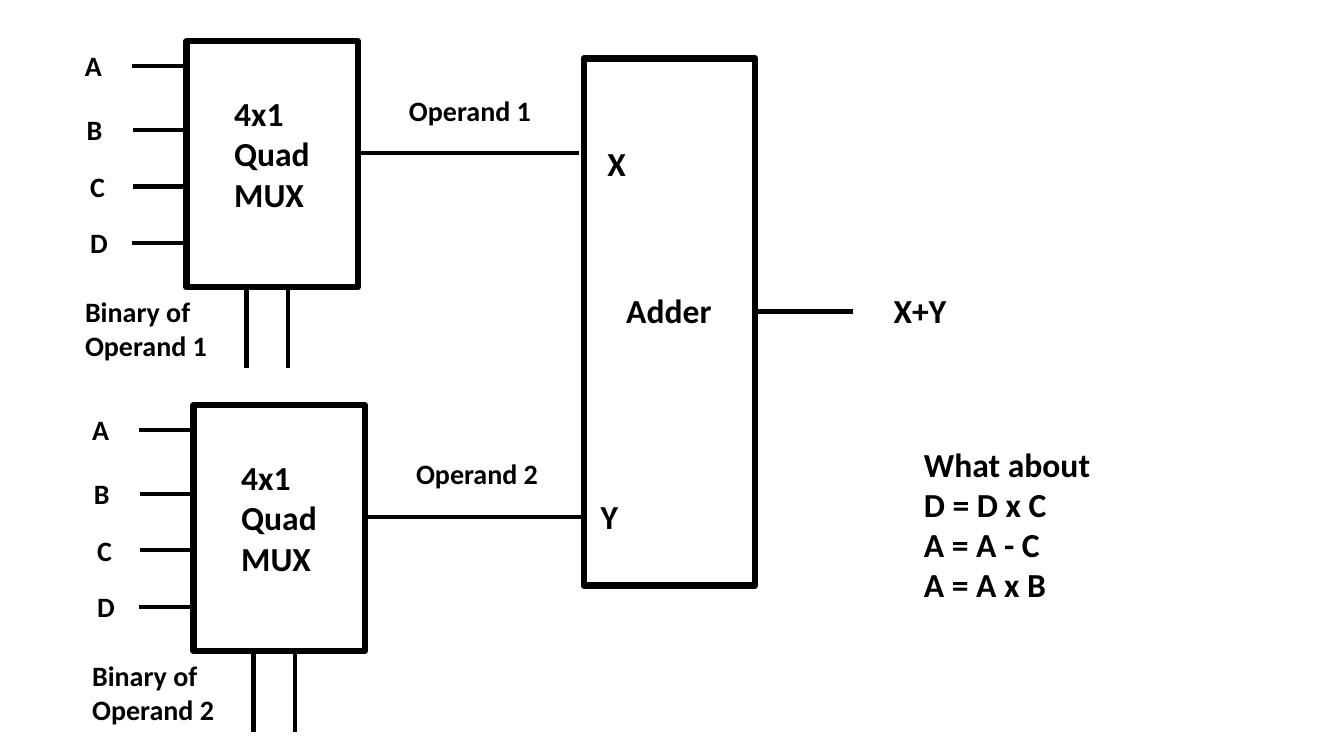
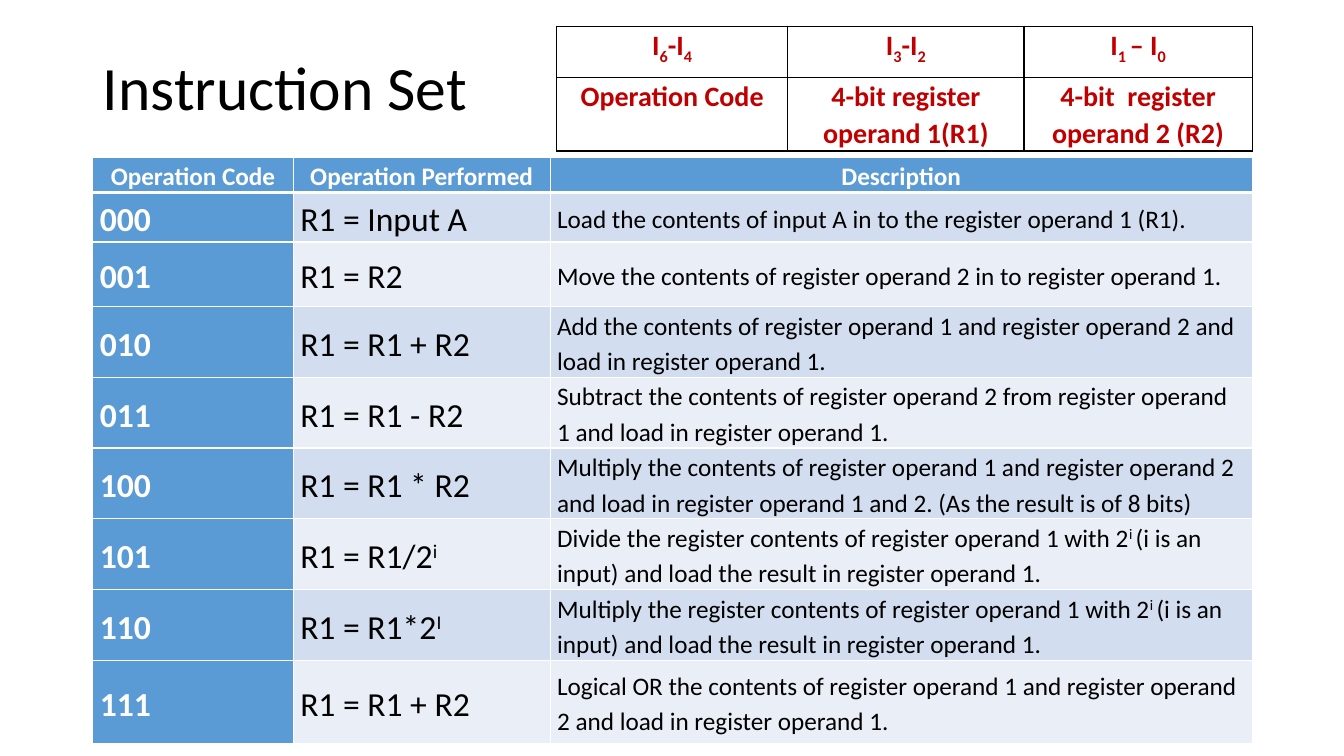
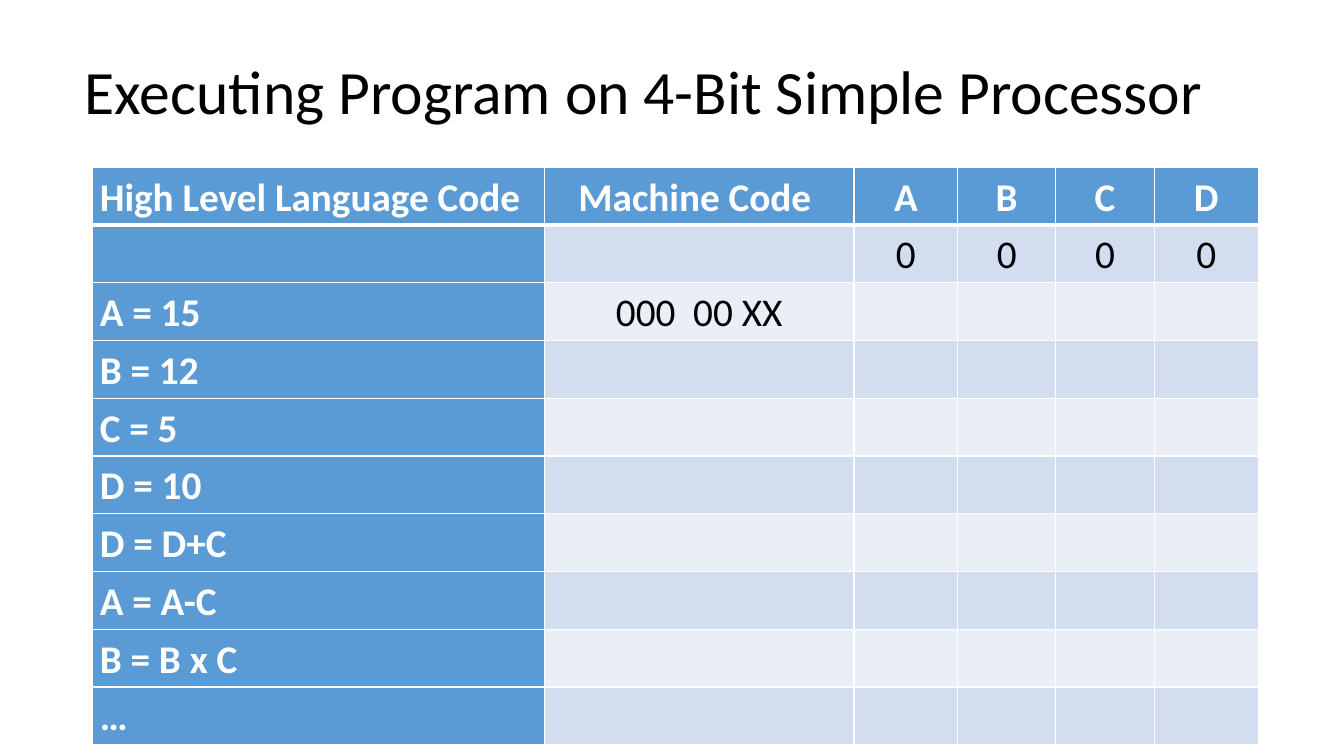
from dataclasses import dataclass

from lxml import etree
from pptx import Presentation
from pptx import util as u
from pptx.dml.color import RGBColor
from pptx.enum import shapes, text
from pptx.oxml.ns import qn


@dataclass(frozen=True)
class Theme:
    font: str = "Calibri"
    ink: str = "000000"
    paper: str = "FFFFFF"
    accent: str = "5B9BD5"
    bands: tuple = ("D2DEEF", "EAEFF7")
    highlight: str = "C00000"
    title: int = 44
    large: int = 28
    body: int = 24
    label: int = 20
    small: int = 18
    outline: float = 4.5
    wire: float = 3
    hairline: float = 1
    header_rule: float = 3


THEME = Theme()


@dataclass(frozen=True)
class Box:
    left: float
    top: float
    width: float
    height: float

    def point(self, across, down):
        """Turn shares of the box into a slide position in inches."""
        return self.left + across * self.width, self.top + down * self.height

    def emu(self):
        return [u.Inches(v) for v in (self.left, self.top, self.width, self.height)]


@dataclass(frozen=True)
class CellStyle:
    size: int
    color: str
    bold: bool = False
    centered: bool = False
    fill: str = ""


SLIDE = Box(0, 0, 13.33, 7.5)


def format_run(run, size, color, bold=False):
    run.font.name = THEME.font
    run.font.size = u.Pt(size)
    run.font.bold = bold
    run.font.color.rgb = RGBColor.from_string(color)


# Circuit diagram

def add_label(slide, position, width, words, size, wrap=False):
    height = (words.count("\n") + 1) * size * 1.2 / 72 + 0.1
    label = slide.shapes.add_textbox(*Box(*position, width, height).emu())
    label.text_frame.word_wrap = wrap
    label.text_frame.text = words
    for paragraph in label.text_frame.paragraphs:
        for run in paragraph.runs:
            format_run(run, size, THEME.ink, bold=True)


def add_wire(slide, start, end):
    ends = [u.Inches(v) for v in (*start, *end)]
    wire = slide.shapes.add_connector(shapes.MSO_CONNECTOR.STRAIGHT, *ends)
    wire.line.color.rgb = RGBColor.from_string(THEME.ink)
    wire.line.width = u.Pt(THEME.wire)
    etree.SubElement(wire._element.spPr, qn("a:effectLst"))


def add_block(slide, box):
    block = slide.shapes.add_shape(shapes.MSO_SHAPE.RECTANGLE, *box.emu())
    block.shadow.inherit = False
    block.fill.background()
    block.line.color.rgb = RGBColor.from_string(THEME.ink)
    block.line.width = u.Pt(THEME.outline)


# Letter, share of the block's height, left of the label, start of the wire
MUX_INPUTS = [
    ("A", 0.10, -0.65, -0.32),
    ("B", 0.36, -0.64, -0.31),
    ("C", 0.59, -0.62, -0.31),
    ("D", 0.82, -0.62, -0.32),
]


def add_multiplexer(slide, box, operand):
    add_block(slide, box)
    for letter, down, label_left, wire_left in MUX_INPUTS:
        add_wire(slide, box.point(wire_left, down), box.point(0, down))
        add_label(slide, box.point(label_left, down - 0.09), 0.37, letter, THEME.label)
    add_wire(slide, box.point(1, 0.455), box.point(2.29, 0.455))
    add_label(slide, box.point(1.24, 0.19), 1.42, operand, THEME.label)
    add_label(slide, box.point(0.22, 0.19), 0.96, "4x1\nQuad\nMUX", THEME.body)
    for across in (0.35, 0.59):
        add_wire(slide, box.point(across, 1.33), box.point(across, 1))
    add_label(slide, box.point(-0.65, 1.01), 1.42, f"Binary of\n{operand}", THEME.label)


def add_adder(slide, box):
    add_block(slide, box)
    add_wire(slide, box.point(1, 0.48), box.point(1.57, 0.48))
    for words, across, down, width in [
        ("Adder", 0.19, 0.43, 1.06),
        ("X", 0.08, 0.15, 0.39),
        ("Y", 0.04, 0.82, 0.38),
        ("X+Y", 1.75, 0.43, 0.73),
    ]:
        add_label(slide, box.point(across, down), width, words, THEME.body)


def build_circuit(presentation):
    slide = presentation.slides.add_slide(presentation.slide_layouts[6])
    add_multiplexer(slide, Box(1.85, 0.41, 1.7, 2.44), "Operand 1")
    add_multiplexer(slide, Box(1.92, 4.02, 1.7, 2.44), "Operand 2")
    add_adder(slide, Box(5.79, 0.58, 1.7, 5.23))
    add_label(slide, SLIDE.point(0.68, 0.58), 3.87,
              "What about\nD = D x C\nA = A - C\nA = A x B", THEME.body, wrap=True)


# Titles and tables

def add_titled_slide(presentation, words, box):
    slide = presentation.slides.add_slide(presentation.slide_layouts[5])
    title = slide.shapes.title
    title.left, title.top, title.width, title.height = box.emu()
    frame = title.text_frame
    frame.text = words
    frame.word_wrap = True
    frame.auto_size = text.MSO_AUTO_SIZE.NONE
    frame.vertical_anchor = text.MSO_ANCHOR.MIDDLE
    paragraph = frame.paragraphs[0]
    paragraph.alignment = text.PP_ALIGN.LEFT
    paragraph.line_spacing = 0.9
    format_run(paragraph.runs[0], THEME.title, THEME.ink)
    return slide


def set_borders(cell, color, top, bottom):
    properties = cell._tc.get_or_add_tcPr()
    widths = {"lnL": THEME.hairline, "lnR": THEME.hairline, "lnT": top, "lnB": bottom}
    for side, width in widths.items():
        line = etree.SubElement(properties, qn(f"a:{side}"), w=str(u.Pt(width)))
        solid = etree.SubElement(line, qn("a:solidFill"))
        etree.SubElement(solid, qn("a:srgbClr"), val=color)


def fill_cell(cell, words, style, line_spacing, baseline):
    """Write a cell; every second part between bars is raised or lowered."""
    cell.margin_left = cell.margin_right = u.Inches(0.07)
    cell.margin_top = cell.margin_bottom = 0
    if style.fill:
        cell.fill.solid()
        cell.fill.fore_color.rgb = RGBColor.from_string(style.fill)
    else:
        cell.fill.background()
    paragraph = cell.text_frame.paragraphs[0]
    paragraph.line_spacing = line_spacing
    paragraph.alignment = text.PP_ALIGN.CENTER if style.centered else text.PP_ALIGN.LEFT
    for index, part in enumerate(words.split("|") if words else []):
        run = paragraph.add_run()
        run.text = part
        format_run(run, style.size, style.color, style.bold)
        if index % 2:
            run.font._element.set("baseline", str(baseline * 1000))


def add_grid(slide, box, columns, rows, content, style_of, line_spacing,
             baseline=30, border=THEME.paper, header_rule=THEME.header_rule,
             anchor=text.MSO_ANCHOR.MIDDLE):
    """Add a table whose columns and rows share the box by weight."""
    table = slide.shapes.add_table(len(rows), len(columns), *box.emu()).table
    table.first_row = table.horz_banding = False
    for column, weight in zip(table.columns, columns):
        column.width = u.Inches(box.width * weight / sum(columns))
    for row, weight in zip(table.rows, rows):
        row.height = u.Inches(box.height * weight / sum(rows))
    for r, words_in_row in enumerate(content):
        for c, words in enumerate(words_in_row):
            cell = table.cell(r, c)
            cell.vertical_anchor = anchor
            set_borders(cell, border,
                        top=header_rule if r == 1 else THEME.hairline,
                        bottom=header_rule if r == 0 else THEME.hairline)
            fill_cell(cell, words, style_of(r, c), line_spacing, baseline)


def banded_style(row, column, size, centered):
    if row == 0 or column == 0:
        return CellStyle(size, THEME.paper, True, centered, THEME.accent)
    return CellStyle(size, THEME.ink, False, centered, THEME.bands[(row - 1) % 2])


INSTRUCTION_FORMAT = [
    ("I|6|-I|4", "I|3|-I|2", "I|1 |– I|0"),
    ("Operation Code", "4-bit register operand 1(R1)", "4-bit  register operand 2 (R2)"),
]

INSTRUCTIONS = [
    ("Operation Code", "Operation Performed", "Description"),
    ("000", "R1 = Input A",
     "Load the contents of input A in to the register operand 1 (R1)."),
    ("001", "R1 = R2",
     "Move the contents of register operand 2 in to register operand 1."),
    ("010", "R1 = R1 + R2",
     "Add the contents of register operand 1 and register operand 2 and load in "
     "register operand 1."),
    ("011", "R1 = R1 - R2",
     "Subtract the contents of register operand 2 from register operand 1 and load in "
     "register operand 1."),
    ("100", "R1 = R1 * R2",
     "Multiply the contents of register operand 1 and register operand 2 and load in "
     "register operand 1 and 2. (As the result is of 8 bits)"),
    ("101", "R1 = R1/2|i",
     "Divide the register contents of register operand 1 with 2|i |(i is an input) and "
     "load the result in register operand 1."),
    ("110", "R1 = R1*2|I",
     "Multiply the register contents of register operand 1 with 2|i |(i is an input) and "
     "load the result in register operand 1."),
    ("111", "R1 = R1 + R2",
     "Logical OR the contents of register operand 1 and register operand 2 and load in "
     "register operand 1."),
]


def instruction_style(row, column):
    size = THEME.small if row == 0 or column == 2 else THEME.body
    return banded_style(row, column, size, centered=row == 0)


def format_style(row, column):
    return CellStyle(THEME.label, THEME.highlight, bold=True, centered=True)


def build_instruction_set(presentation):
    slide = add_titled_slide(presentation, "Instruction Set", Box(0.92, 0.4, 4.32, 1))
    add_grid(slide, Box(0.92, 1.56, 11.5, 4.92), [1.99, 2.55, 6.97],
             [0.26, 0.49, 0.64] + [0.54] * 5 + [0.83],
             INSTRUCTIONS, instruction_style, line_spacing=1.15)
    add_grid(slide, Box(5.52, 0.26, 6.9, 1.18), [2.29, 2.34, 2.26], [0.51, 0.67],
             INSTRUCTION_FORMAT, format_style, line_spacing=1.07, baseline=-25,
             border=THEME.ink, header_rule=THEME.hairline, anchor=text.MSO_ANCHOR.TOP)


REGISTERS = ("A", "B", "C", "D")
BLANK_REGISTERS = ("",) * len(REGISTERS)
PROGRAM = [
    ("High Level Language Code", "Machine Code ", *REGISTERS),
    ("", "", "0", "0", "0", "0"),
    ("A = 15", "000  00 XX", *BLANK_REGISTERS),
    *[(code, "", *BLANK_REGISTERS) for code in
      ("B = 12", "C = 5", "D = 10", "D = D+C", "A = A-C", "B = B x C", "…")],
]


def program_style(row, column):
    return banded_style(row, column, THEME.large, centered=column > 0)


def build_program(presentation):
    slide = add_titled_slide(presentation, "Executing Program on 4-Bit Simple Processor",
                             Box(0.74, 0.21, 11.92, 1.45))
    add_grid(slide, Box(0.92, 1.66, 11.56, 5.73), [4.48, 3.07, 1.03, 0.97, 0.98, 1.03],
             [1] * len(PROGRAM), PROGRAM, program_style, line_spacing=1.07)


def main():
    presentation = Presentation()
    presentation.slide_width = u.Inches(SLIDE.width)
    presentation.slide_height = u.Inches(SLIDE.height)
    build_circuit(presentation)
    build_instruction_set(presentation)
    build_program(presentation)
    presentation.save("out.pptx")


if __name__ == "__main__":
    main()
